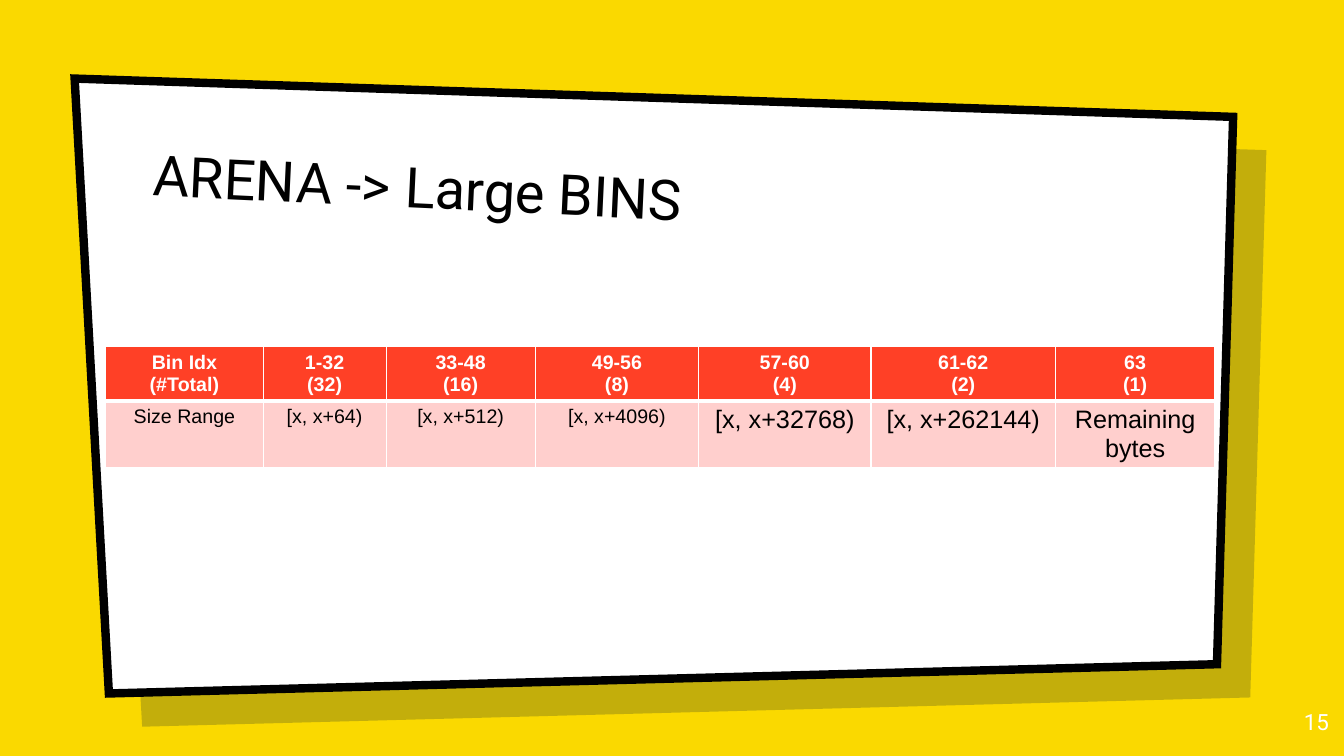
import pptx
import pptx.util
import pptx.dml.color
import pptx.enum.text
import pptx.oxml
import pptx.oxml.ns
from lxml import etree

Inches, Pt = pptx.util.Inches, pptx.util.Pt
RGB = pptx.dml.color.RGBColor
Align = pptx.enum.text.PP_ALIGN
Anchor = pptx.enum.text.MSO_ANCHOR
qn = pptx.oxml.ns.qn

YELLOW = RGB(0xFA, 0xD9, 0x00)
NAVY = RGB(0x00, 0x19, 0x36)
WHITE = RGB(0xFF, 0xFF, 0xFF)
BLACK = RGB(0x00, 0x00, 0x00)
RED = RGB(0xFF, 0x40, 0x26)
PINK = RGB(0xFF, 0xCF, 0xCD)

WIDE, HIGH = 13.33, 7.5
TITLE = "ARENA -> Large BINS"
NUMBER = "15"
# index range, bin count, size range, size of the range's text, column width
BINS = [
    ("Bin Idx", "(#Total)", "Size Range", 14, 1.56),
    ("1-32", "(32)", "[x, x+64)", 14, 1.22),
    ("33-48", "(16)", "[x, x+512)", 14, 1.48),
    ("49-56", "(8)", "[x, x+4096)", 14, 1.62),
    ("57-60", "(4)", "[x, x+32768)", 18, 1.71),
    ("61-62", "(2)", "[x, x+262144)", 18, 1.83),
    ("63", "(1)", "Remaining bytes", 18, 1.58),
]
PANEL = [(0.74, 0.78), (12.23, 1.16), (12.07, 6.59), (1.08, 6.88)]
SHIFT = 0.33
ROW = 0.41


def write(para, text, size, font, color, align, bold=False):
    para.alignment = align
    run = para.add_run()
    run.text = text
    run.font.size, run.font.name, run.font.bold = Pt(size), font, bold
    run.font.color.rgb = color


def frame(shape, anchor):
    body = shape.text_frame
    body.auto_size = pptx.enum.text.MSO_AUTO_SIZE.NONE
    body.word_wrap, body.vertical_anchor = True, anchor
    body.margin_left = body.margin_right = Inches(0.1)
    body.margin_top = body.margin_bottom = Inches(0.1)
    return body.paragraphs[0]


def panel(shapes, shift, color):
    spots = [(Inches(x + shift), Inches(y + shift)) for x, y in PANEL]
    pen = shapes.build_freeform(*spots[0])
    pen.add_line_segments(spots[1:], close=True)
    shape = pen.convert_to_shape()
    shape.shadow.inherit = False
    shape.fill.solid()
    shape.fill.fore_color.rgb = color
    return shape


def border(cell, widths):
    """Draw white cell borders; widths maps a side's tag to points."""
    props = cell._tc.get_or_add_tcPr()
    for side, width in widths.items():
        line = etree.SubElement(props, qn("a:" + side), w=str(Pt(width)))
        fill = etree.SubElement(line, qn("a:solidFill"))
        etree.SubElement(fill, qn("a:srgbClr"), val=str(WHITE))


def paint(cell, lines, size, color, back, bold, widths):
    border(cell, widths)
    cell.fill.solid()
    cell.fill.fore_color.rgb = back
    body = cell.text_frame
    for i, text in enumerate(lines):
        para = body.add_paragraph() if i else body.paragraphs[0]
        write(para, text, size, "Arial", color, Align.CENTER, bold)


def main():
    deck = pptx.Presentation()
    deck.slide_width, deck.slide_height = Inches(WIDE), Inches(HIGH)
    slide = deck.slides.add_slide(deck.slide_layouts[5])
    shapes = slide.shapes
    slide.background.fill.solid()
    slide.background.fill.fore_color.rgb = YELLOW

    shade = panel(shapes, SHIFT, NAVY)
    shade.line.fill.background()
    tint = shade.element.spPr.find(".//" + qn("a:srgbClr"))
    etree.SubElement(tint, qn("a:alpha"), val="22000")
    sheet = panel(shapes, 0, WHITE)
    sheet.line.color.rgb = BLACK
    sheet.line.width = Pt(6)
    edge = sheet.element.spPr.find(qn("a:ln"))
    etree.SubElement(edge, qn("a:miter"), lim="800000")

    title = shapes.title
    shapes.element.append(title.element)  # in front of the panels
    title.left, title.top = Inches(1.42), Inches(1.28)
    title.width, title.height = Inches(10.25), Inches(1.11)
    title.rotation = 2.7
    write(frame(title, Anchor.BOTTOM), TITLE, 40, "Roboto", BLACK, Align.LEFT)

    page = shapes.add_textbox(Inches(12.48), Inches(6.93), Inches(0.8), Inches(0.57))
    write(frame(page, Anchor.TOP), NUMBER, 16, "Roboto", WHITE, Align.RIGHT)

    total = sum(item[-1] for item in BINS)
    table = shapes.add_table(2, len(BINS), Inches(1.05), Inches(3.44),
                             Inches(total), Inches(2 * ROW)).table
    for row in table.rows:
        row.height = Inches(ROW)
    thin = {"lnL": 1, "lnR": 1, "lnT": 1, "lnB": 1}
    for i, (index, count, span, size, width) in enumerate(BINS):
        table.columns[i].width = Inches(width)
        paint(table.cell(0, i), [index, count], 14, WHITE, RED, True, {**thin, "lnB": 3})
        paint(table.cell(1, i), [span], size, BLACK, PINK, False, {**thin, "lnT": 3})

    deck.save("out.pptx")


if __name__ == "__main__":
    main()
